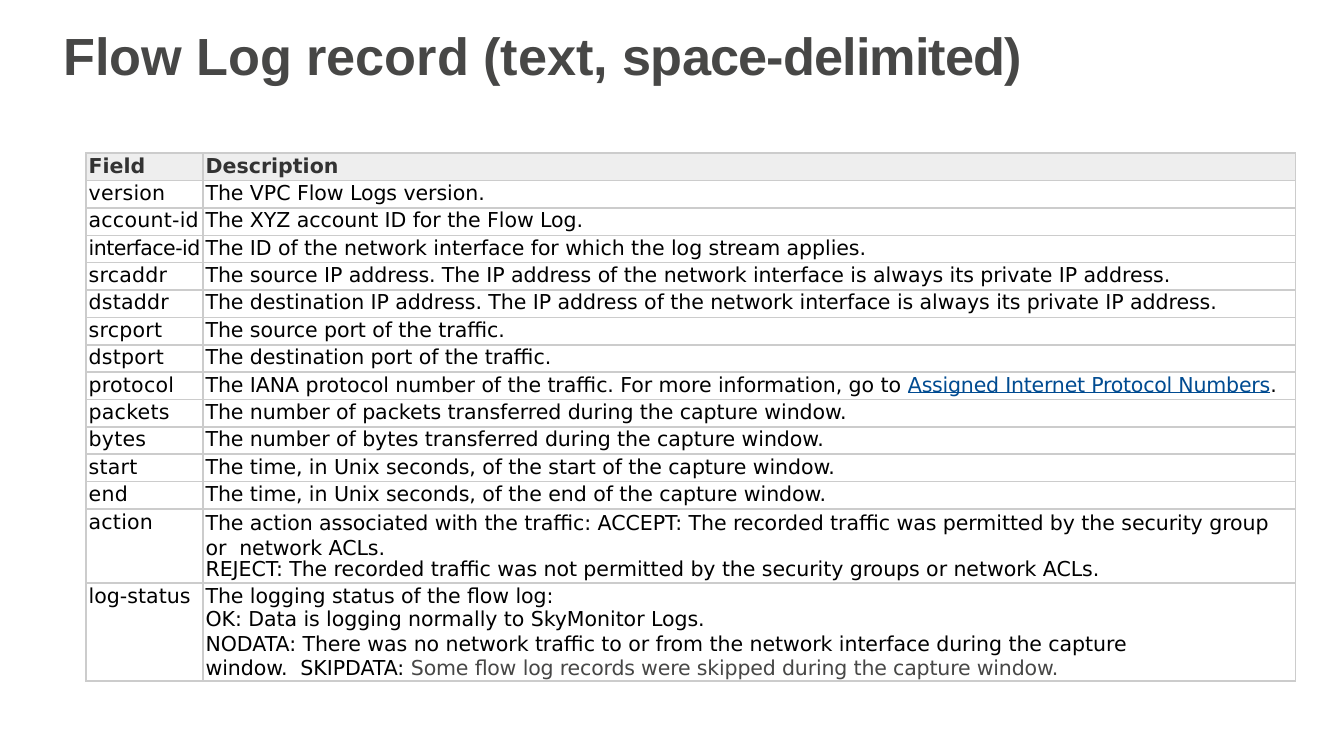
from dataclasses import dataclass

from lxml import etree
from pptx import Presentation
from pptx.dml.color import RGBColor
from pptx.enum.text import MSO_ANCHOR, MSO_AUTO_SIZE, PP_ALIGN
from pptx.oxml.ns import qn
from pptx.util import Inches, Pt

TOP = MSO_ANCHOR.TOP
LEFT = PP_ALIGN.LEFT
NO_AUTOFIT = MSO_AUTO_SIZE.NONE
TITLE_ONLY = 5

GRAY = "474746"
BLACK = "000000"
LINK_BLUE = "004B91"
HEADER_TEXT = "333333"
HEADER_FILL = "EEEEEE"
BORDER = "CCCCCC"


@dataclass
class Span:
    text: str
    spacing: float = -0.05
    color: str = BLACK
    bold: bool = False
    underline: bool = False
    size: float = 11
    font: str = "DejaVu Sans"


@dataclass
class Line:
    spans: list[Span]
    line_spacing: float | None = 12.6
    space_before: float = 1


@dataclass
class Record:
    field: Line
    description: list[Line]
    top_margin: float = 0.01


def rgb(color: str) -> RGBColor:
    return RGBColor.from_string(color)


def set_values(target, values: dict) -> None:
    for name, value in values.items():
        setattr(target, name, value)


def write_span(paragraph, span: Span) -> None:
    """Write one format; a newline in the text is a line break."""
    for index, text in enumerate(span.text.split("\n")):
        if index:
            paragraph.add_line_break()
        run = paragraph.add_run()
        run.text = text
        set_values(run.font, {
            "name": span.font, "size": Pt(span.size),
            "bold": span.bold, "underline": span.underline,
        })
        run.font.color.rgb = rgb(span.color)
        run._r.get_or_add_rPr().set("spc", str(round(span.spacing * 100)))


def write_lines(text_frame, lines: list[Line]) -> None:
    for index, line in enumerate(lines):
        paragraph = text_frame.add_paragraph() if index else text_frame.paragraphs[0]
        values = {"alignment": LEFT, "space_before": Pt(line.space_before)}
        if line.line_spacing:
            values["line_spacing"] = Pt(line.line_spacing)
        set_values(paragraph, values)
        for span in line.spans:
            write_span(paragraph, span)


def add_borders(cell) -> None:
    properties = cell._tc.get_or_add_tcPr()
    for side in ("a:lnL", "a:lnR", "a:lnT", "a:lnB"):
        border = etree.SubElement(properties, qn(side), w=str(Pt(1)))
        fill = etree.SubElement(border, qn("a:solidFill"))
        etree.SubElement(fill, qn("a:srgbClr"), val=BORDER)


def write_cell(cell, lines: list[Line], top_margin: float, fill: str | None) -> None:
    set_values(cell, {
        "margin_left": Inches(0.02), "margin_top": Inches(top_margin),
        "margin_right": 0, "margin_bottom": 0, "vertical_anchor": TOP,
    })
    add_borders(cell)
    if fill:
        cell.fill.solid()
        cell.fill.fore_color.rgb = rgb(fill)
    else:
        cell.fill.background()
    write_lines(cell.text_frame, lines)


def simple_record(field: str, description: str) -> Record:
    spacing = -0.3 if field == "interface-id" else 0.1
    return Record(Line([Span(field, spacing)]), [Line([Span(description)])])


def header_line(text: str) -> Line:
    return Line([Span(text, 0, HEADER_TEXT, bold=True)])


# Table content
HEADER = Record(header_line("Field"), [header_line("Description")])
BEFORE_PROTOCOL = [
    ("version", "The VPC Flow Logs version."),
    ("account-id", "The XYZ account ID for the Flow Log."),
    ("interface-id", "The ID of the network interface for which the log stream applies."),
    ("srcaddr", "The source IP address. The IP address of the network interface "
                "is always its private IP address."),
    ("dstaddr", "The destination IP address. The IP address of the network interface "
                "is always its private IP address."),
    ("srcport", "The source port of the traffic."),
    ("dstport", "The destination port of the traffic."),
]
PROTOCOL = Record(Line([Span("protocol", 0.1)]), [Line([
    Span("The IANA protocol number of the traffic. For more information, go to "),
    Span("Assigned Internet Protocol Numbers", -0.15, LINK_BLUE, underline=True),
    Span("."),
])])
AFTER_PROTOCOL = [
    ("packets", "The number of packets transferred during the capture window."),
    ("bytes", "The number of bytes transferred during the capture window."),
    ("start", "The time, in Unix seconds, of the start of the capture window."),
    ("end", "The time, in Unix seconds, of the end of the capture window."),
]
ACTION = Record(Line([Span("action", 0.1)], None), [
    Line([Span("The action associated with the traffic: ACCEPT: The recorded traffic was "
               "permitted by the security group\nor  network ACLs.")], 13, 1.6),
    Line([Span("REJECT: The recorded traffic was not permitted by the security groups "
               "or network ACLs.")], 11.2, 0),
], 0.02)
LOG_STATUS = Record(Line([Span("log-status", 0)], None), [
    Line([Span("The logging status of the flow log:")], 13.1),
    Line([Span("OK: Data is logging normally to SkyMonitor Logs.")], 12.5, 0),
    Line([Span("NODATA: There was no network traffic to or from the network interface "
               "during the capture\nwindow.  SKIPDATA: "),
          Span("Some flow log records were skipped during the capture window.",
               -0.1, GRAY)], 13, 0),
])
RECORDS = [
    HEADER,
    *(simple_record(*texts) for texts in BEFORE_PROTOCOL),
    PROTOCOL,
    *(simple_record(*texts) for texts in AFTER_PROTOCOL),
    ACTION,
    LOG_STATUS,
]
COLUMN_WIDTHS = [0.87, 8.13]
TALL_ROWS = [0.55, 0.73]
TABLE_HEIGHT = 3.93


def add_title(slide) -> None:
    title = slide.shapes.title
    set_values(title, {
        "left": Inches(0.45), "top": Inches(0.15),
        "width": Inches(7.31), "height": Inches(0.49),
    })
    set_values(title.text_frame, {
        "margin_left": Inches(0.02), "margin_top": Inches(0.02),
        "margin_right": 0, "margin_bottom": 0, "vertical_anchor": TOP,
        "word_wrap": True, "auto_size": NO_AUTOFIT,
    })
    look = {"color": GRAY, "bold": True, "size": 28, "font": "Arial"}
    write_lines(title.text_frame, [Line([
        Span("Flow Log record (text, ", 0, **look),
        Span("space-delimited)", -0.45, **look),
    ], None)])


def add_record_table(slide) -> None:
    table = slide.shapes.add_table(
        len(RECORDS), len(COLUMN_WIDTHS), Inches(0.64), Inches(1.14),
        Inches(sum(COLUMN_WIDTHS)), Inches(TABLE_HEIGHT)).table
    set_values(table, {"first_row": False, "horz_banding": False})
    for column, width in zip(table.columns, COLUMN_WIDTHS):
        column.width = Inches(width)
    # Single-line rows share the height that the tall rows leave
    single_rows = len(RECORDS) - len(TALL_ROWS)
    single_height = (TABLE_HEIGHT - sum(TALL_ROWS)) / single_rows
    heights = [single_height] * single_rows + TALL_ROWS
    for row, height, record in zip(table.rows, heights, RECORDS):
        row.height = Inches(height)
        fill = HEADER_FILL if record is HEADER else None
        write_cell(row.cells[0], [record.field], 0.01, fill)
        write_cell(row.cells[1], record.description, record.top_margin, fill)


def main() -> None:
    presentation = Presentation()
    # Widescreen, 16:9
    presentation.slide_width = Inches(10)
    presentation.slide_height = presentation.slide_width * 9 // 16
    slide = presentation.slides.add_slide(presentation.slide_layouts[TITLE_ONLY])
    add_title(slide)
    add_record_table(slide)
    presentation.save("out.pptx")


if __name__ == "__main__":
    main()
